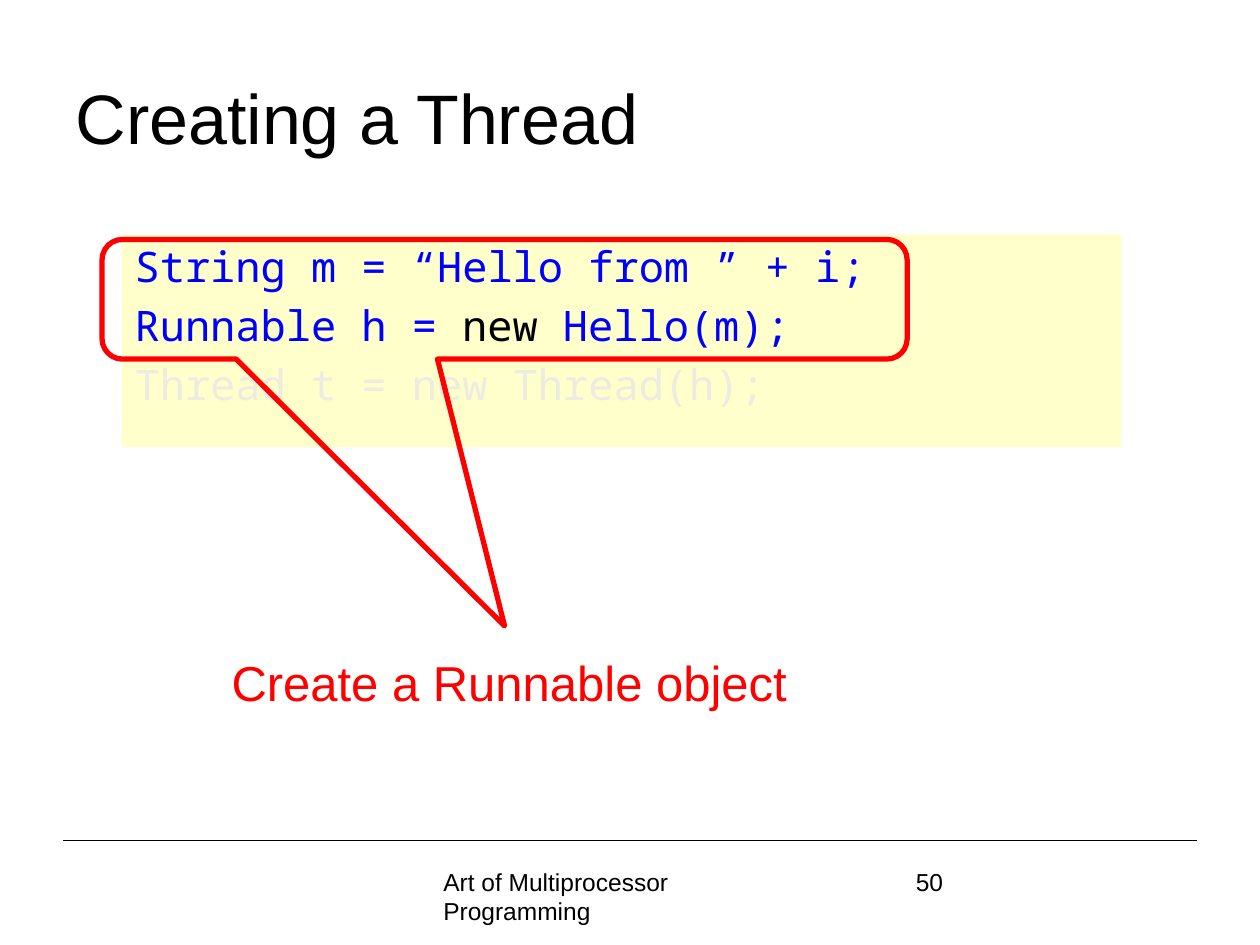
from lxml import etree
from pptx import Presentation
from pptx.dml.color import RGBColor
from pptx.enum.shapes import MSO_CONNECTOR, MSO_SHAPE
from pptx.enum.text import MSO_ANCHOR, PP_ALIGN
from pptx.oxml.ns import qn
from pptx.util import Inches, Pt

COLORS = {
    "text": "000000",
    "code": "0000FF",
    "faded": "EEECE1",
    "panel": "FFFFCC",
    "accent": "FF0000",
}
BODY_FONT = "Arial"
CODE_FONT = "Noto Sans Mono"

CODE_LINES = [
    [("String m = “Hello from ” + i;", "code")],
    [("Runnable h = ", "code"), ("new", "text"), (" Hello(m);", "code")],
    [("Thread t = new Thread(h);", "faded")],
]


def rgb(name):
    return RGBColor.from_string(COLORS[name])


class Deck:
    """Holds the slide and the style its elements share."""

    def __init__(self):
        self.prs = Presentation()
        self.prs.slide_width = Inches(10)
        self.prs.slide_height = Inches(7.5)
        self.s = self.prs.slides.add_slide(self.prs.slide_layouts[5])

    def add_run(self, p, text, size, color="text", font=BODY_FONT):
        r = p.add_run()
        r.text = text
        r.font.name = font
        r.font.size = Pt(size)
        r.font.color.rgb = rgb(color)

    def title(self, text, x, y, w, h):
        sp = self.s.shapes.title
        sp.left, sp.top, sp.width, sp.height = map(Inches, (x, y, w, h))
        tf = sp.text_frame
        tf.vertical_anchor = MSO_ANCHOR.MIDDLE
        p = tf.paragraphs[0]
        p.alignment = PP_ALIGN.LEFT
        self.add_run(p, text, 40)

    def text(self, text, x, y, w, h, size, color="text", align=PP_ALIGN.LEFT):
        sp = self.s.shapes.add_textbox(*map(Inches, (x, y, w, h)))
        tf = sp.text_frame
        tf.word_wrap = True
        p = tf.paragraphs[0]
        p.alignment = align
        self.add_run(p, text, size, color)

    def rule(self, x1, x2, y):
        line = self.s.shapes.add_connector(
            MSO_CONNECTOR.STRAIGHT, *map(Inches, (x1, y, x2, y)))
        line.line.color.rgb = rgb("text")
        line.line.width = Pt(0.5)
        etree.SubElement(line._element.spPr, qn("a:effectLst"))

    def code_panel(self, lines, x, y, w, h):
        sp = self.s.shapes.add_shape(
            MSO_SHAPE.RECTANGLE, *map(Inches, (x, y, w, h)))
        sp.shadow.inherit = False
        sp.fill.solid()
        sp.fill.fore_color.rgb = rgb("panel")
        sp.line.fill.background()
        tf = sp.text_frame
        tf.word_wrap = True
        tf.vertical_anchor = MSO_ANCHOR.TOP
        for i, runs in enumerate(lines):
            p = tf.add_paragraph() if i else tf.paragraphs[0]
            p.alignment = PP_ALIGN.LEFT
            p.space_before = Pt(4.8)
            for text, color in runs:
                self.add_run(p, text, 24, color, CODE_FONT)

    def callout(self, x, y, w, h, adjustments):
        sp = self.s.shapes.add_shape(
            MSO_SHAPE.ROUNDED_RECTANGULAR_CALLOUT, *map(Inches, (x, y, w, h)))
        sp.shadow.inherit = False
        sp.fill.background()
        sp.line.color.rgb = rgb("accent")
        sp.line.width = Pt(3)
        for i, value in enumerate(adjustments):
            sp.adjustments[i] = value


def main():
    deck = Deck()
    deck.rule(0.5, 9.5, 6.67)
    deck.text("Art of Multiprocessor Programming", 3.42, 6.83, 3.17, 0.5, 14)
    deck.text("50", 7.17, 6.83, 2.08, 0.5, 14)
    deck.title("Creating a Thread", 0.5, 0.3, 9, 1.25)
    deck.code_panel(CODE_LINES, 0.97, 1.86, 7.93, 1.69)
    deck.callout(0.81, 1.9, 6.39, 0.95, (0, 2.73, 0.17))
    deck.text("Create a Runnable object", 1.55, 5.13, 4.98, 0.57, 28,
              "accent", PP_ALIGN.CENTER)
    deck.prs.save("out.pptx")


if __name__ == "__main__":
    main()
